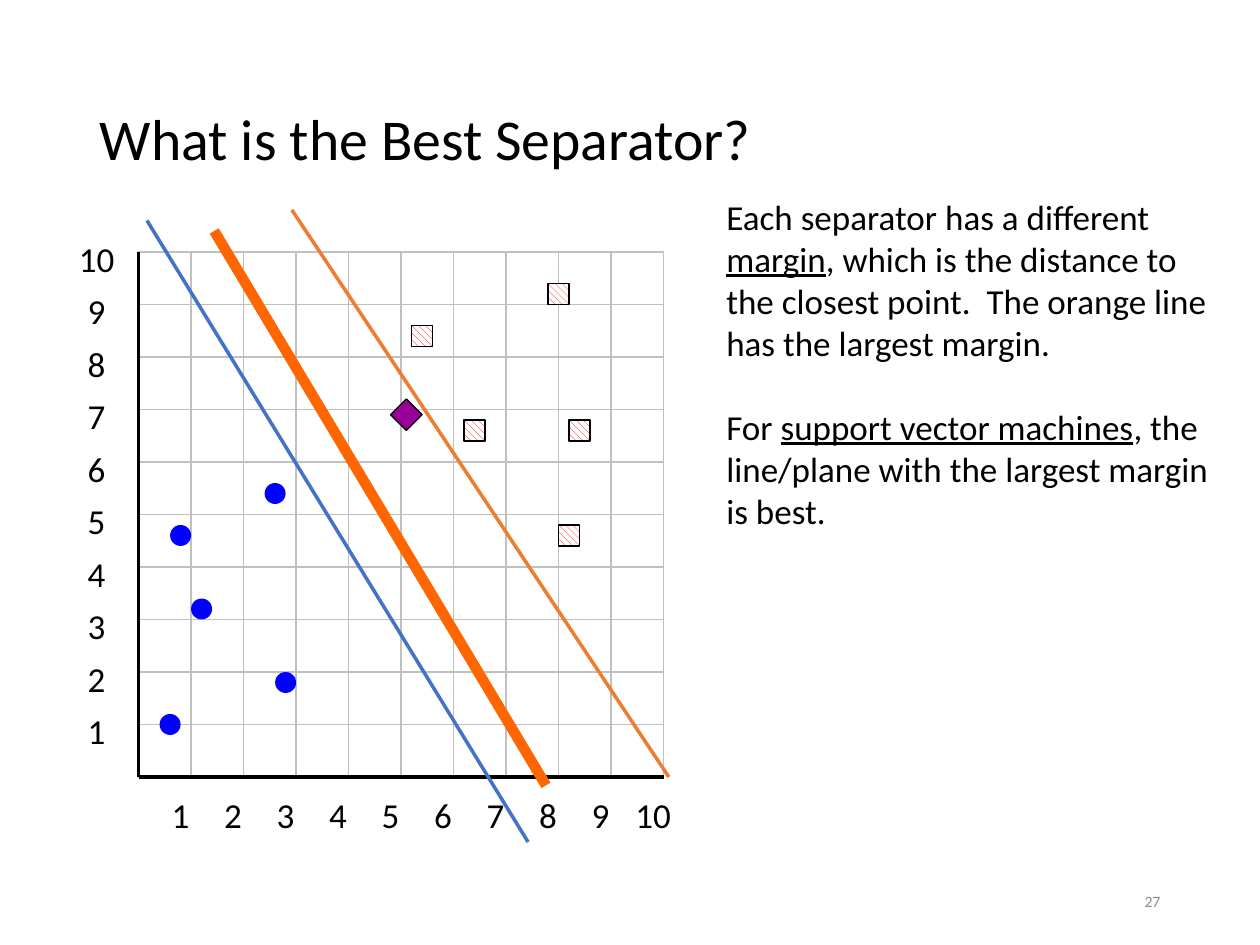
import pptx
import pptx.dml.color
import pptx.enum.dml
import pptx.enum.shapes
import pptx.enum.text
import pptx.oxml.ns
import pptx.util
from lxml import etree

# Content
TITLE = "What is the Best Separator?"
PAGE_NUMBER = "27"
# Each paragraph is a list of (text, underlined) spans
NOTES = [
    [("Each separator has a different ", False), ("margin", True),
     (", which is the distance to the closest point.  "
      "The orange line has the largest margin.", False)],
    [("For ", False), ("support vector machines", True),
     (", the line/plane with the largest margin is best.", False)],
]
# Points by their centre, in grid units
CIRCLES = [(1.2, 3.2), (2.8, 1.8), (2.6, 5.4), (0.6, 1), (0.8, 4.6)]
SQUARES = [(5.4, 8.4), (6.4, 6.6), (8, 9.2), (8.4, 6.6), (8.2, 4.6)]
DIAMOND = (5.1, 6.9)
# Separators: start and end in px, colour, width in points
BEST = ((204, 220), (520, 748), "best", 6)
OTHERS = [((140, 210), (503, 802), "blue", 2),
          ((278, 200), (637, 740), "orange", 2)]

COLORS = {"text": "000000", "number": "8C8C8C", "grid": "C0C0C0",
          "circle": "0000FF", "hatch": "FF0000", "white": "FFFFFF",
          "diamond": "990099", "best": "FF6600",
          "blue": "4472C4", "orange": "ED7D31"}
FONT = "Calibri"

# Layout in px, 120 to the inch
PX = 914400 // 120
CELLS, CELL = 10, 50
LEFT, BOTTOM = 132, 740
RIGHT, TOP = LEFT + CELLS * CELL, BOTTOM - CELLS * CELL
POINT, DIAMOND_SIZE = 20, 30
LABEL_WIDTH, LABEL_HEIGHT = 58, 52

SHAPE = pptx.enum.shapes.MSO_SHAPE
ALIGN = pptx.enum.text.PP_ALIGN
ANCHOR = pptx.enum.text.MSO_ANCHOR


def emu(*lengths):
    return [round(length * PX) for length in lengths]


def color(name):
    return pptx.dml.color.RGBColor.from_string(COLORS[name])


def add_span(para, text, size, name="text", underlined=False):
    span = para.add_run()
    span.text = text
    span.font.name = FONT
    span.font.size = pptx.util.Pt(size)
    span.font.color.rgb = color(name)
    if underlined:
        span.font.underline = True


def add_box(shapes, left, top, width, height, wrap=True):
    box = shapes.add_textbox(*emu(left, top, width, height))
    box.text_frame.word_wrap = wrap
    return box.text_frame


def add_line(shapes, start, end, name, width):
    line = shapes.add_connector(pptx.enum.shapes.MSO_CONNECTOR.STRAIGHT,
                                *emu(*start, *end))
    line.line.color.rgb = color(name)
    line.line.width = pptx.util.Pt(width)
    etree.SubElement(line._element.spPr, pptx.oxml.ns.qn("a:effectLst"))


def add_shape(shapes, kind, left, top, size, outline=None, width=0.75):
    shape = shapes.add_shape(kind, *emu(left, top, size, size))
    shape.shadow.inherit = False
    if outline:
        shape.line.color.rgb = color(outline)
        shape.line.width = pptx.util.Pt(width)
    else:
        shape.line.fill.background()
    return shape


def add_point(shapes, kind, center, size, outline=None):
    x, y = center
    return add_shape(shapes, kind, LEFT + x * CELL - size / 2,
                     BOTTOM - y * CELL - size / 2, size, outline)


def add_label(shapes, value, center, top):
    frame = add_box(shapes, center - LABEL_WIDTH / 2, top,
                    LABEL_WIDTH, LABEL_HEIGHT, wrap=False)
    para = frame.paragraphs[0]
    para.alignment = ALIGN.CENTER
    add_span(para, str(value), 20)


def add_plot(page):
    shapes = page.shapes.add_group_shape().shapes

    # Grid and axes
    for row in range(CELLS):
        for column in range(CELLS):
            cell = add_shape(shapes, SHAPE.RECTANGLE, LEFT + column * CELL,
                             TOP + row * CELL, CELL, "grid", 0)
            cell.fill.background()
    for end in ((RIGHT, BOTTOM), (LEFT, TOP)):
        add_line(shapes, (LEFT, BOTTOM), end, "text", 1.75)

    # Points of both classes
    for center in CIRCLES:
        circle = add_point(shapes, SHAPE.OVAL, center, POINT)
        circle.fill.solid()
        circle.fill.fore_color.rgb = color("circle")
    for center in SQUARES:
        square = add_point(shapes, SHAPE.RECTANGLE, center, POINT, "text")
        square.fill.patterned()
        square.fill.pattern = (
            pptx.enum.dml.MSO_PATTERN.WIDE_DOWNWARD_DIAGONAL)
        square.fill.fore_color.rgb = color("hatch")
        square.fill.back_color.rgb = color("white")

    # Axis labels
    for value in range(1, CELLS + 1):
        add_label(shapes, value, LEFT - 10 + value * CELL, BOTTOM + 10)
        add_label(shapes, value, LEFT - 40, BOTTOM - 20 - value * CELL)

    # Best separator and the new point
    add_line(shapes, *BEST)
    diamond = add_point(shapes, SHAPE.DIAMOND, DIAMOND, DIAMOND_SIZE, "text")
    diamond.fill.solid()
    diamond.fill.fore_color.rgb = color("diamond")


def main():
    deck = pptx.Presentation()
    deck.slide_width, deck.slide_height = emu(1200, 900)
    page = deck.slides.add_slide(deck.slide_layouts[5])

    # Title
    title = page.shapes.title
    title.left, title.top, title.width, title.height = emu(83, 48, 1034, 174)
    frame = title.text_frame
    frame.auto_size = pptx.enum.text.MSO_AUTO_SIZE.NONE
    frame.vertical_anchor = ANCHOR.MIDDLE
    para = frame.paragraphs[0]
    para.alignment = ALIGN.LEFT
    para.line_spacing = 0.9
    add_span(para, TITLE, 33)

    # Page number
    frame = add_box(page.shapes, 847, 834, 270, 48)
    frame.vertical_anchor = ANCHOR.MIDDLE
    frame.paragraphs[0].alignment = ALIGN.RIGHT
    add_span(frame.paragraphs[0], PAGE_NUMBER, 9, "number")

    # Plot with the other separators over it
    add_plot(page)
    for separator in OTHERS:
        add_line(page.shapes, *separator)

    # Explanation
    frame = add_box(page.shapes, 680, 180, 490, 335)
    for index, spans in enumerate(NOTES):
        para = frame.add_paragraph() if index else frame.paragraphs[0]
        if index:
            para.space_before = pptx.util.Pt(24)
        for text, underlined in spans:
            add_span(para, text, 20, underlined=underlined)

    deck.save("out.pptx")


if __name__ == "__main__":
    main()
